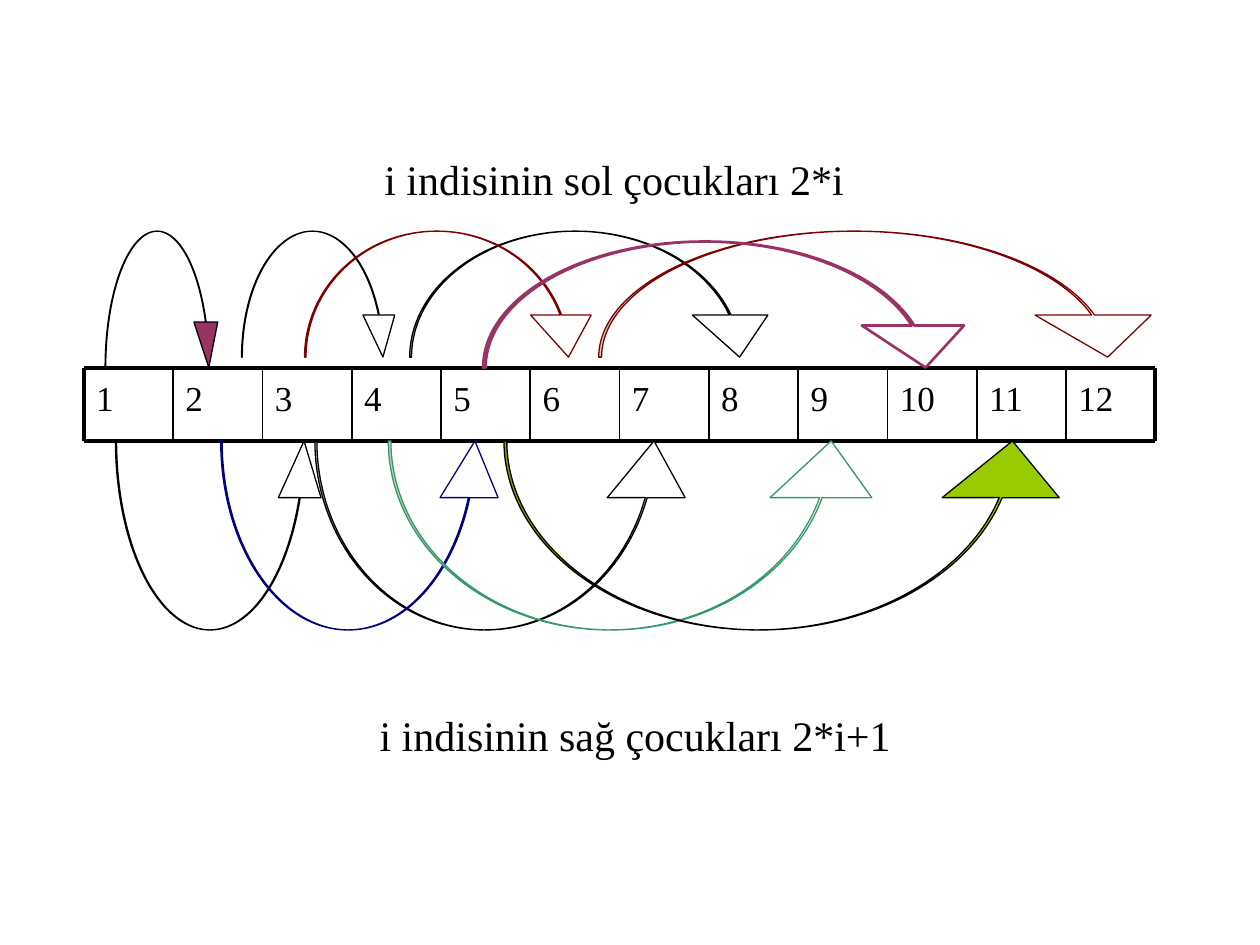
from lxml import etree
from pptx import Presentation
from pptx import util as u
from pptx.dml import color
from pptx.enum import shapes, text
from pptx.oxml import ns

FONT = "Times New Roman"
BLACK, WHITE, PLUM, MAROON = "000000", "FFFFFF", "993366", "800000"
NAVY, GREEN, LIME = "000080", "339966", "99CC00"

INDEXES = [str(i) for i in range(1, 13)]
ROW_LEFT, ROW_TOP, CELL_W, CELL_H = 1.69, 7.41, 1.8, 1.48
THICK, THIN = 2.25, 1

LEFT_CAPTION = ("i indisinin sol çocukları 2*i", (6.98, 2.96, 10.8, 1.27))
RIGHT_CAPTION = ("i indisinin sağ çocukları 2*i+1", (6.56, 14.18, 12.49, 1.27))

ARROW_FIELDS = ("left", "top", "width", "height", "head", "fill", "line", "weight")
LEFT_CHILDREN = [
    (2.12, 4.66, 2.33, 2.75, 0.48, PLUM, BLACK, 0.75),
    (4.87, 4.66, 3.17, 2.54, 0.64, WHITE, BLACK, 0.75),
    (8.26, 4.66, 7.41, 2.54, 1.52, WHITE, BLACK, 0.75),
    (6.14, 4.66, 5.93, 2.54, 1.22, WHITE, MAROON, 0.75),
    (12.07, 4.66, 11.43, 2.54, 2.34, WHITE, MAROON, 0.75),
    (9.74, 4.87, 9.95, 2.54, 2.06, WHITE, PLUM, 1.5),
]
RIGHT_CHILDREN = [
    (2.33, 8.89, 4.23, 3.81, 0.86, WHITE, BLACK, 0.75),
    (6.35, 8.89, 7.62, 3.81, 1.57, WHITE, BLACK, 0.75),
    (4.45, 8.89, 5.71, 3.81, 1.17, WHITE, NAVY, 0.75),
    (7.83, 8.89, 9.95, 3.81, 2.05, WHITE, GREEN, 0.75),
    (10.16, 8.89, 11.43, 3.81, 2.36, LIME, BLACK, 0.75),
]


def rgb(value):
    return color.RGBColor.from_string(value)


def cm(values):
    return [u.Cm(v) for v in values]


def set_text(sp, wording, box, size, align):
    sp.left, sp.top, sp.width, sp.height = cm(box)
    tf = sp.text_frame
    tf.text = wording
    tf.word_wrap = True
    tf.auto_size = text.MSO_AUTO_SIZE.NONE
    tf.vertical_anchor = text.MSO_ANCHOR.TOP
    p = tf.paragraphs[0]
    p.alignment = align
    r = p.runs[0]
    r.font.name, r.font.size = FONT, u.Pt(size)
    r.font.color.rgb = rgb(BLACK)


def add_line(s, ends, weight):
    c = s.shapes.add_connector(shapes.MSO_CONNECTOR.STRAIGHT, *cm(ends))
    c.line.color.rgb = rgb(BLACK)
    c.line.width = u.Pt(weight)
    etree.SubElement(c._element.spPr, ns.qn("a:effectLst"))


def add_index_row(s):
    count = len(INDEXES)
    edges = [ROW_LEFT + i * CELL_W for i in range(count + 1)]
    bottom = ROW_TOP + CELL_H
    for x, label in zip(edges, INDEXES):
        sp = s.shapes.add_textbox(0, 0, 0, 0)
        set_text(sp, label, (x, ROW_TOP, CELL_W, CELL_H), 20, text.PP_ALIGN.LEFT)
        sp.text_frame.margin_top = u.Cm(0.19)
    for y in (ROW_TOP, bottom):
        add_line(s, (edges[0], y, edges[-1], y), THICK)
    for i, x in enumerate(edges):
        add_line(s, (x, ROW_TOP, x, bottom), THICK if i in (0, count) else THIN)


def add_arrows(s, kind, arrows, head_ratio):
    for row in arrows:
        a = dict(zip(ARROW_FIELDS, row))
        sp = s.shapes.add_shape(kind, *cm(row[:4]))
        short = min(a["width"], a["height"])
        sizes = (a["head"] / 40, a["head"], a["height"] * head_ratio)
        for i, size in enumerate(sizes):
            sp.adjustments[i] = size / short
        sp.shadow.inherit = False
        sp.fill.solid()
        sp.fill.fore_color.rgb = rgb(a["fill"])
        sp.line.color.rgb = rgb(a["line"])
        sp.line.width = u.Pt(a["weight"])


def main():
    prs = Presentation()
    prs.slide_width, prs.slide_height = cm((25.4, 19.05))
    s = prs.slides.add_slide(prs.slide_layouts[5])
    set_text(s.shapes.title, *LEFT_CAPTION, 24, text.PP_ALIGN.CENTER)
    add_index_row(s)
    add_arrows(s, shapes.MSO_SHAPE.CURVED_DOWN_ARROW, LEFT_CHILDREN, 1 / 3)
    add_arrows(s, shapes.MSO_SHAPE.CURVED_UP_ARROW, RIGHT_CHILDREN, 0.3)
    caption = s.shapes.add_textbox(0, 0, 0, 0)
    set_text(caption, *RIGHT_CAPTION, 24, text.PP_ALIGN.CENTER)
    prs.save("out.pptx")


if __name__ == "__main__":
    main()
